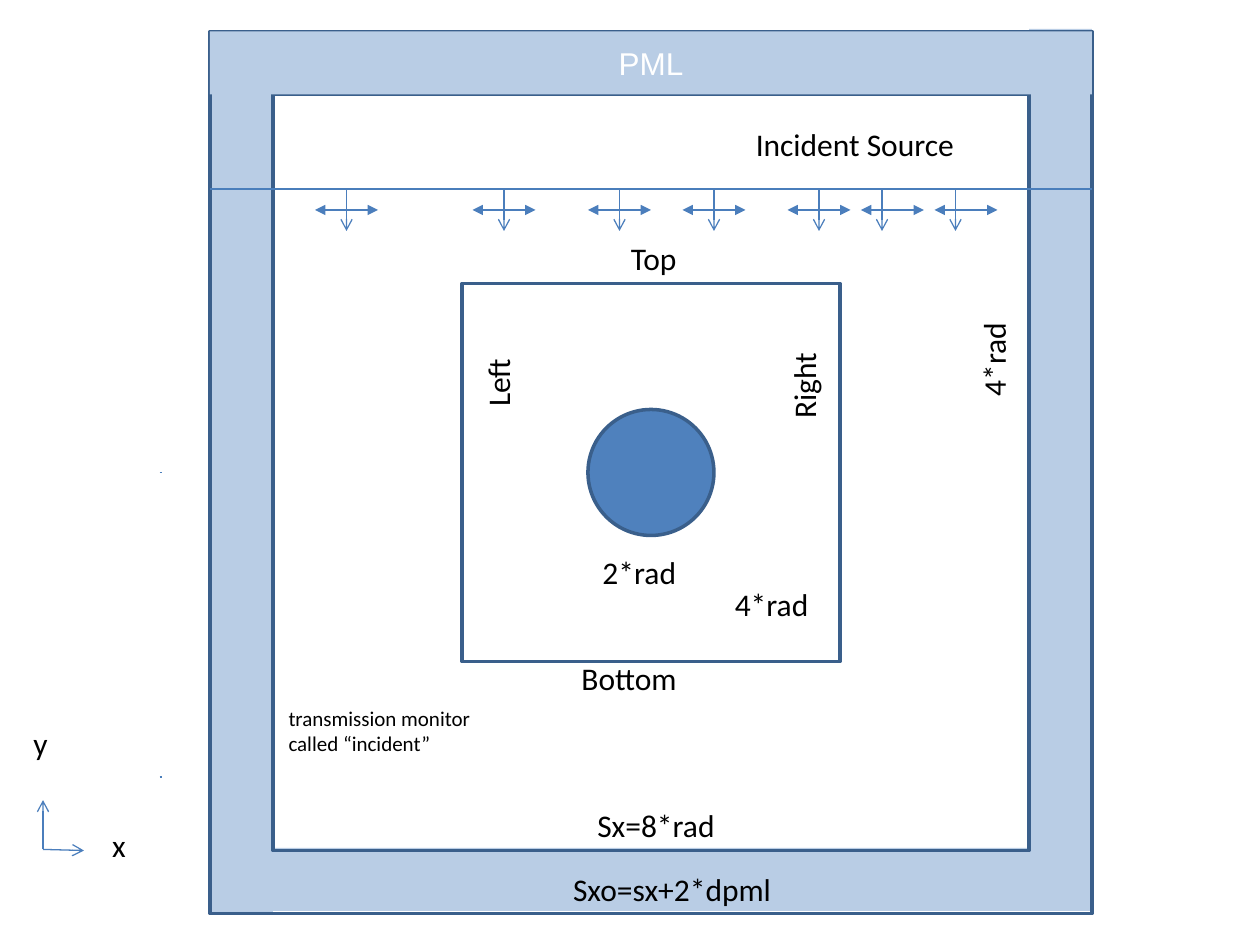
from lxml.etree import SubElement
from pptx import Presentation
from pptx.dml.color import RGBColor
from pptx.enum.shapes import MSO_CONNECTOR, MSO_SHAPE as Preset
from pptx.enum.text import MSO_ANCHOR, PP_ALIGN
from pptx.oxml.ns import qn
from pptx.util import Inches, Pt

PML_BLUE = RGBColor(0xB9, 0xCD, 0xE5)
CYLINDER_BLUE = RGBColor(0x4F, 0x81, 0xBD)
OUTLINE_BLUE = RGBColor(0x3A, 0x5F, 0x8B)
LINE_BLUE = RGBColor(0x4A, 0x7E, 0xBB)
ARROW_BLUE = RGBColor(0x4B, 0x7E, 0xBC)
BLACK = RGBColor(0, 0, 0)
WHITE = RGBColor(0xFF, 0xFF, 0xFF)

presentation = Presentation()
presentation.slide_width, presentation.slide_height = Inches(10), Inches(7.5)
slide = presentation.slides.add_slide(presentation.slide_layouts[6])
# The slide is a grid of 120 columns by 90 rows
CELL = presentation.slide_width / 120


def add_block(preset, box, fill=None, outline=None, rotation=0):
    shape = slide.shapes.add_shape(preset, *[round(n * CELL) for n in box])
    shape.shadow.inherit = False
    shape.rotation = rotation
    if fill is None:
        shape.fill.background()
    else:
        shape.fill.solid()
        shape.fill.fore_color.rgb = fill
    if outline is None:
        shape.line.fill.background()
    else:
        shape.line.color.rgb = outline
        shape.line.width = Pt(2)
    return shape


def add_line(ends, color=ARROW_BLUE, **arrowheads):
    line = slide.shapes.add_connector(
        MSO_CONNECTOR.STRAIGHT, *[round(n * CELL) for n in ends])
    line.line.color.rgb = color
    line.line.width = Pt(0.75)
    properties = line.line._get_or_add_ln()
    for end, kind in arrowheads.items():
        SubElement(properties, qn(f"a:{end}"), type=kind)
    SubElement(line._element.spPr, qn("a:effectLst"))


# Absorbing layer: right, bottom and left
for left, top, rotation in ((59, 41.75, 90), (20, 80.75, 180), (-19, 42, 270)):
    add_block(Preset.RECTANGLE, (left, top, 84, 6), PML_BLUE, rotation=rotation)

# Cylinder, then the monitor box, cell and outer domain, all on one centre
CENTER_X, CENTER_Y = 62, 45
for preset, size, fill in ((Preset.OVAL, 12, CYLINDER_BLUE), (Preset.RECTANGLE, 36, None),
                           (Preset.RECTANGLE, 72, None), (Preset.RECTANGLE, 84, None)):
    add_block(preset, (CENTER_X - size / 2, CENTER_Y - size / 2, size, size),
              fill, OUTLINE_BLUE)

# Labels: text, left, top, width, rotation, size
LABELS = (
    ("2*rad", 56.2, 52.1, 10.8, 0, 18),
    ("Sx=8*rad", 55.7, 76.2, 16.9, 0, 18),
    ("4*rad", 68.8, 55.1, 10.8, 0, 18),
    ("Left", 43.4, 33.5, 8, 270, 18),
    ("Top", 58.9, 22.2, 7.4, 0, 18),
    ("Bottom", 54.2, 62.2, 13.4, 0, 18),
    ("Right", 71.4, 33.5, 10.3, 270, 18),
    ("x", 9.5, 78.1, 4.2, 0, 18),
    ("y", 2, 68.4, 4.2, 0, 18),
    ("Sxo=sx+2*dpml", 53.4, 82.3, 27.1, 0, 18),
    ("4*rad", 89.2, 31.1, 10.8, 270, 18),
    ("Incident Source", 70.8, 11.3, 25.7, 0, 18),
    ("transmission monitor\ncalled “incident”", 26.3, 66.6, 40.1, 0, 12),
)
for text, left, top, width, rotation, size in LABELS:
    height = 6 if "\n" in text else 4.8
    label = slide.shapes.add_textbox(*[round(n * CELL) for n in (left, top, width, height)])
    label.rotation = rotation
    label.text_frame.word_wrap = True
    label.text_frame.text = text
    for paragraph in label.text_frame.paragraphs:
        for name, value in {"name": "Calibri", "size": Pt(size)}.items():
            setattr(paragraph.font, name, value)
        paragraph.font.color.rgb = BLACK

# Source line and the short ticks beside the domain
add_line((20, 18, 104, 18), LINE_BLUE)
for row in (45, 74):
    add_line((15.2, row, 15.4, row), LINE_BLUE)

# Coordinate axes
for end in ((8, 81), (4.1, 76.2)):
    add_line((4.1, 80.9, *end), tailEnd="arrow")

# Downward propagation arrows
for column in (33, 48, 59, 68, 78, 84, 91):
    add_line((column, 18, column, 22), tailEnd="arrow")

# Top absorbing layer
pml = add_block(Preset.RECTANGLE, (20, 3, 84, 6), PML_BLUE)
pml.text_frame.text = "PML"
pml.text_frame.vertical_anchor = MSO_ANCHOR.MIDDLE
heading = pml.text_frame.paragraphs[0]
heading.alignment = PP_ALIGN.CENTER
for name, value in {"name": "Arial", "size": Pt(18)}.items():
    setattr(heading.font, name, value)
heading.font.color.rgb = WHITE

# Sideways polarisation arrows
for column in (33, 48, 59, 68, 78, 85, 92):
    add_line((column - 3, 20, column + 3, 20), headEnd="triangle", tailEnd="triangle")

presentation.save("out.pptx")
